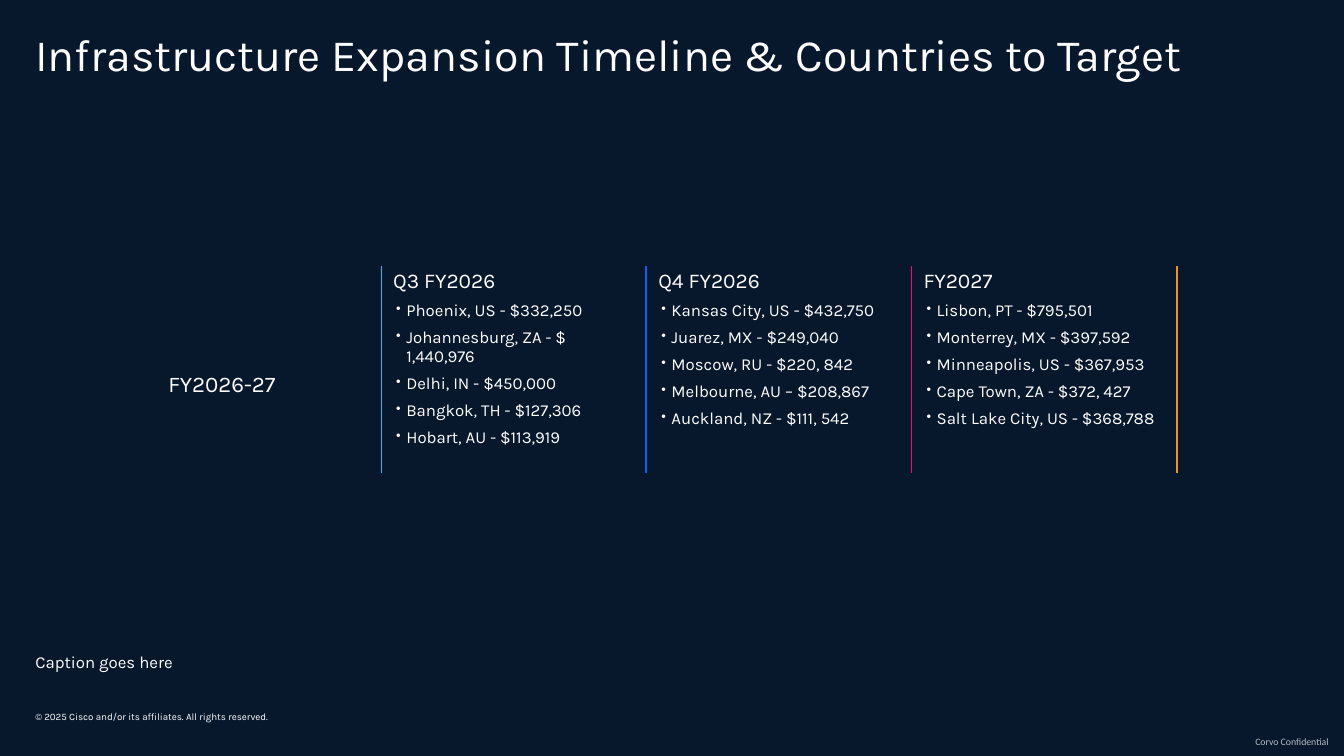
"""Build the infrastructure expansion timeline slide."""
from dataclasses import dataclass

from lxml import etree
from pptx import Presentation
from pptx import util as u
from pptx.dml import color
from pptx.enum import text
from pptx.oxml import ns

COLORS = {"navy": "07182D", "white": "FFFFFF", "grey": "B4B9C0", "sky": "02C8FF",
          "blue": "0A60FF", "pink": "FF007F", "orange": "FF9000"}
NO_STYLE = "{2D5ABB26-0587-4C30-8999-92F81FD0307C}"
FLAT_FRAME = {"margin_left": 0, "margin_top": 0, "margin_right": 0, "margin_bottom": 0,
              "word_wrap": True, "auto_size": text.MSO_AUTO_SIZE.NONE,
              "vertical_anchor": text.MSO_ANCHOR.TOP}


@dataclass
class Label:
    """A line of text with its place and look."""
    words: str
    box: tuple[float, float, float, float]
    size: float
    font: str = "Karla"
    color: str = "white"
    space_after: float = 0


@dataclass
class Divider:
    """A vertical table rule."""
    color: str
    width: float


@dataclass
class Period:
    """A timeline column with its target cities."""
    heading: str
    targets: list[str]


TITLE = Label("Infrastructure Expansion Timeline & Countries to Target", (0.35, 0.33, 12.62, 0.54), 32)
LABELS = [
    Label("© 2025 Cisco and/or its affiliates. All rights reserved.", (0.35, 7.05, 3.59, 0.45), 7),
    Label("Corvo Confidential", (12.45, 7.3, 0.88, 0.12), 7, "Calibri", "grey"),
    Label("Caption goes here", (0.35, 6.47, 6.31, 0.4), 12, space_after=10),
]
DIVIDERS = [Divider("sky", 1), Divider("blue", 1.5), Divider("pink", 1.5), Divider("orange", 1.5)]
PERIODS = [
    Period("Q3 FY2026", ["Phoenix, US - $332,250", "Johannesburg, ZA - $ 1,440,976", "Delhi, IN - $450,000",
                         "Bangkok, TH - $127,306", "Hobart, AU - $113,919"]),
    Period("Q4 FY2026", ["Kansas City, US - $432,750", "Juarez, MX - $249,040", "Moscow, RU - $220, 842",
                         "Melbourne, AU – $208,867", "Auckland, NZ - $111, 542"]),
    Period("FY2027", ["Lisbon, PT - $795,501", "Monterrey, MX - $397,592", "Minneapolis, US - $367,953",
                      "Cape Town, ZA - $372, 427", "Salt Lake City, US - $368,788"]),
]


def apply(target, values: dict) -> None:
    """Set every named attribute on the target."""
    for name, value in values.items():
        setattr(target, name, value)


def add_run(paragraph, words: str, size: float, font: str = "Karla", tint: str = "white") -> None:
    """Add one formatted run to a paragraph."""
    run = paragraph.add_run()
    run.text = words
    apply(run.font, {"size": u.Pt(size), "name": font, "bold": False})
    run.font.color.rgb = color.RGBColor.from_string(COLORS[tint])


def write_label(shape, label: Label, spacing: dict) -> None:
    """Place a text shape and fill it with its label."""
    apply(shape, dict(zip(("left", "top", "width", "height"), map(u.Inches, label.box))))
    apply(shape.text_frame, FLAT_FRAME)
    paragraph = shape.text_frame.paragraphs[0]
    apply(paragraph, {"alignment": text.PP_ALIGN.LEFT, **spacing})
    add_run(paragraph, label.words, label.size, label.font, label.color)


def add_bullet(paragraph) -> None:
    """Give a paragraph a small hanging bullet."""
    properties = paragraph._p.get_or_add_pPr()
    properties.set("marL", str(u.Inches(0.15)))
    properties.set("indent", str(u.Inches(-0.1)))
    etree.SubElement(properties, ns.qn("a:buSzPct"), val="80000")
    etree.SubElement(properties, ns.qn("a:buChar"), char="•")


def add_border(cell, side: str, divider: Divider) -> None:
    """Draw one side of a cell."""
    properties = cell._tc.get_or_add_tcPr()
    line = etree.Element(ns.qn(f"a:{side}"), w=str(u.Pt(divider.width)))
    fill = etree.SubElement(line, ns.qn("a:solidFill"))
    etree.SubElement(fill, ns.qn("a:srgbClr"), val=COLORS[divider.color])
    properties.insert(0, line)


def write_cell(cell, lines: list[str], size: float, inset: tuple[float, float], bulleted: bool = False) -> None:
    """Fill a cell with plain or bulleted lines."""
    anchor = text.MSO_ANCHOR.TOP if bulleted else text.MSO_ANCHOR.MIDDLE
    apply(cell, {"margin_left": u.Inches(inset[0]), "margin_right": u.Inches(inset[1]),
                 "margin_top": u.Inches(0.04), "margin_bottom": u.Inches(0.04), "vertical_anchor": anchor})
    for index, words in enumerate(lines):
        paragraph = cell.text_frame.add_paragraph() if index else cell.text_frame.paragraphs[0]
        if bulleted:
            add_bullet(paragraph)
        apply(paragraph, {"line_spacing": 0.95, "space_before": u.Pt(size / 2 if index else 0)})
        add_run(paragraph, words, size)


def add_timeline(slide) -> None:
    """Add the table of periods with its coloured dividers."""
    frame = slide.shapes.add_table(2, len(PERIODS) + 1, *map(u.Inches, (1.67, 2.64, 10, 2.05)))
    table = frame.table
    apply(table, {"first_row": False, "horz_banding": False})
    table._tbl.tblPr.find(ns.qn("a:tableStyleId")).text = NO_STYLE
    for column, width in zip(table.columns, [2.11] + [2.63] * len(PERIODS)):
        column.width = u.Inches(width)
    for row, height in zip(table.rows, (0.31, 1.74)):
        row.height = u.Inches(height)
        for index, cell in enumerate(row.cells):
            cell.fill.background()
            add_border(cell, "lnR", DIVIDERS[index])
            if index:
                add_border(cell, "lnL", DIVIDERS[index - 1])
    corner = table.cell(0, 0)
    write_cell(corner, [], 12, (0, 0.12))
    etree.SubElement(corner.text_frame.paragraphs[0]._p, ns.qn("a:endParaRPr"), sz="1200")
    write_cell(table.cell(1, 0), ["FY2026-27"], 16, (0, 0.12))
    for index, period in enumerate(PERIODS, 1):
        write_cell(table.cell(0, index), [period.heading], 15, (0.12, 0.12))
        write_cell(table.cell(1, index), period.targets, 12, (0.1, 0.1), bulleted=True)


def main() -> None:
    """Create and save the presentation."""
    presentation = Presentation()
    apply(presentation, {"slide_width": u.Inches(13.33), "slide_height": u.Inches(7.5)})
    slide = presentation.slides.add_slide(presentation.slide_layouts[5])
    slide.background.fill.solid()
    slide.background.fill.fore_color.rgb = color.RGBColor.from_string(COLORS["navy"])
    write_label(slide.shapes.title, TITLE, {"line_spacing": 0.9})
    add_timeline(slide)
    for label in LABELS:
        shape = slide.shapes.add_textbox(0, 0, 0, 0)
        write_label(shape, label, {"space_after": u.Pt(label.space_after)})
    presentation.save("out.pptx")


if __name__ == "__main__":
    main()
